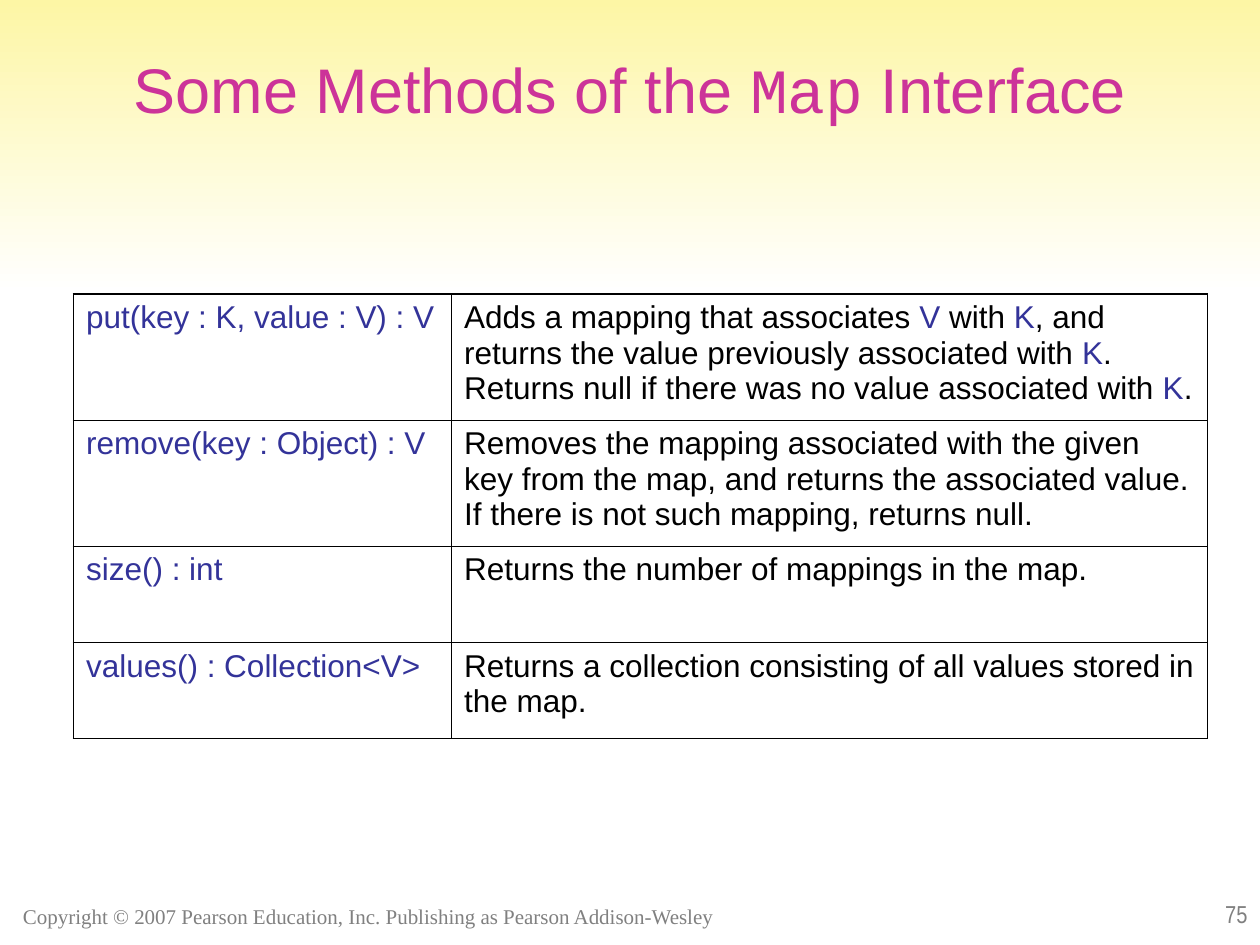
from lxml.etree import SubElement
from pptx import Presentation
from pptx.dml.color import RGBColor
from pptx.enum.shapes import MSO_SHAPE
from pptx.enum.text import MSO_ANCHOR, PP_ALIGN
from pptx.oxml.ns import qn
from pptx.util import Pt

HUES = {"pink": "CC3399", "blue": "333399", "black": "000000",
        "gray": "808080", "yellow": "FDF6A5", "white": "FFFFFF"}
THICK, THIN = 1.08, 0.45


class Deck:
    def __init__(self, show):
        self.slide = show.slides.add_slide(show.slide_layouts[6])
        self.face = "Arial"

    def hue(self, name):
        return RGBColor.from_string(HUES[name])

    def put(self, frame, runs, size, align=PP_ALIGN.LEFT):
        frame.word_wrap = True
        para = frame.paragraphs[0]
        para.alignment = align
        for text, hue, face in runs:
            run = para.add_run()
            run.text = text
            run.font.size = Pt(size)
            run.font.name = face
            run.font.color.rgb = self.hue(hue)

    def label(self, box, runs, size, align, anchor, top=3.6):
        frame = self.slide.shapes.add_textbox(*map(Pt, box)).text_frame
        frame.vertical_anchor = anchor
        frame.margin_top = Pt(top)
        self.put(frame, runs, size, align)

    def fade(self, box, hues):
        shape = self.slide.shapes.add_shape(MSO_SHAPE.RECTANGLE, *map(Pt, box))
        shape.shadow.inherit = False
        shape.line.fill.background()
        shape.fill.gradient()
        shape.fill.gradient_angle = 270
        for stop, hue, spot in zip(shape.fill.gradient_stops, hues, (0, 1)):
            stop.color.rgb = self.hue(hue)
            stop.position = spot

    def edge(self, cell, side, width):
        props = cell._tc.get_or_add_tcPr()
        line = SubElement(props, qn("a:ln" + side), w=str(int(Pt(width))))
        fill = SubElement(line, qn("a:solidFill"))
        SubElement(fill, qn("a:srgbClr"), val=HUES["black"])

    def table(self, left, top, wide, high, rows):
        grid = self.slide.shapes.add_table(
            len(rows), len(wide), Pt(left), Pt(top),
            Pt(sum(wide)), Pt(sum(high))).table
        grid.first_row = grid.horz_banding = False
        for col, width in zip(grid.columns, wide):
            col.width = Pt(width)
        for row, height in zip(grid.rows, high):
            row.height = Pt(height)
        for r, row in enumerate(rows):
            for c, runs in enumerate(row):
                cell = grid.cell(r, c)
                outer = {"L": c == 0, "R": c == len(wide) - 1,
                         "T": r == 0, "B": r == len(rows) - 1}
                for side, rim in outer.items():
                    self.edge(cell, side, THICK if rim else THIN)
                cell.fill.background()
                self.put(cell.text_frame,
                         [(*run, self.face) for run in runs], 18)


def main():
    show = Presentation()
    show.slide_width, show.slide_height = Pt(720), Pt(540)
    deck = Deck(show)
    deck.fade((0, 0, 720, 168), ("yellow", "white"))
    deck.label((6, 504, 426, 30),
               [("Copyright © 2007 Pearson Education, Inc. "
                 "Publishing as Pearson Addison-Wesley",
                 "gray", "Times New Roman")],
               12, PP_ALIGN.LEFT, MSO_ANCHOR.BOTTOM)
    deck.label((570, 498, 150, 36), [("75", "gray", "Arial Narrow")],
               14, PP_ALIGN.RIGHT, MSO_ANCHOR.BOTTOM)
    deck.label((36, 21.6, 648, 62.4),
               [("Some Methods of the ", "pink", deck.face),
                ("Map", "pink", "Courier New"),
                (" Interface", "pink", deck.face)],
               36, PP_ALIGN.CENTER, MSO_ANCHOR.TOP, 7)
    key, value = ("K", "blue"), ("V", "blue")
    rows = [
        ("put(key : K, value : V) : V",
         [("Adds a mapping that associates ", "black"), value,
          (" with ", "black"), key,
          (", and returns the value previously associated with ", "black"),
          key,
          (". Returns null if there was no value associated with ", "black"),
          key, (".", "black")]),
        ("remove(key : Object) : V",
         [("Removes the mapping associated with the given key from the map, "
           "and returns the associated value. If there is not such mapping, "
           "returns null.", "black")]),
        ("size() : int",
         [("Returns the number of mappings in the map.", "black")]),
        ("values() : Collection<V>",
         [("Returns a collection consisting of all values stored in the map.",
           "black")]),
    ]
    deck.table(42, 168, (216, 432), (72, 72, 55, 55),
               [([(name, "blue")], runs) for name, runs in rows])
    show.save("out.pptx")


if __name__ == "__main__":
    main()
